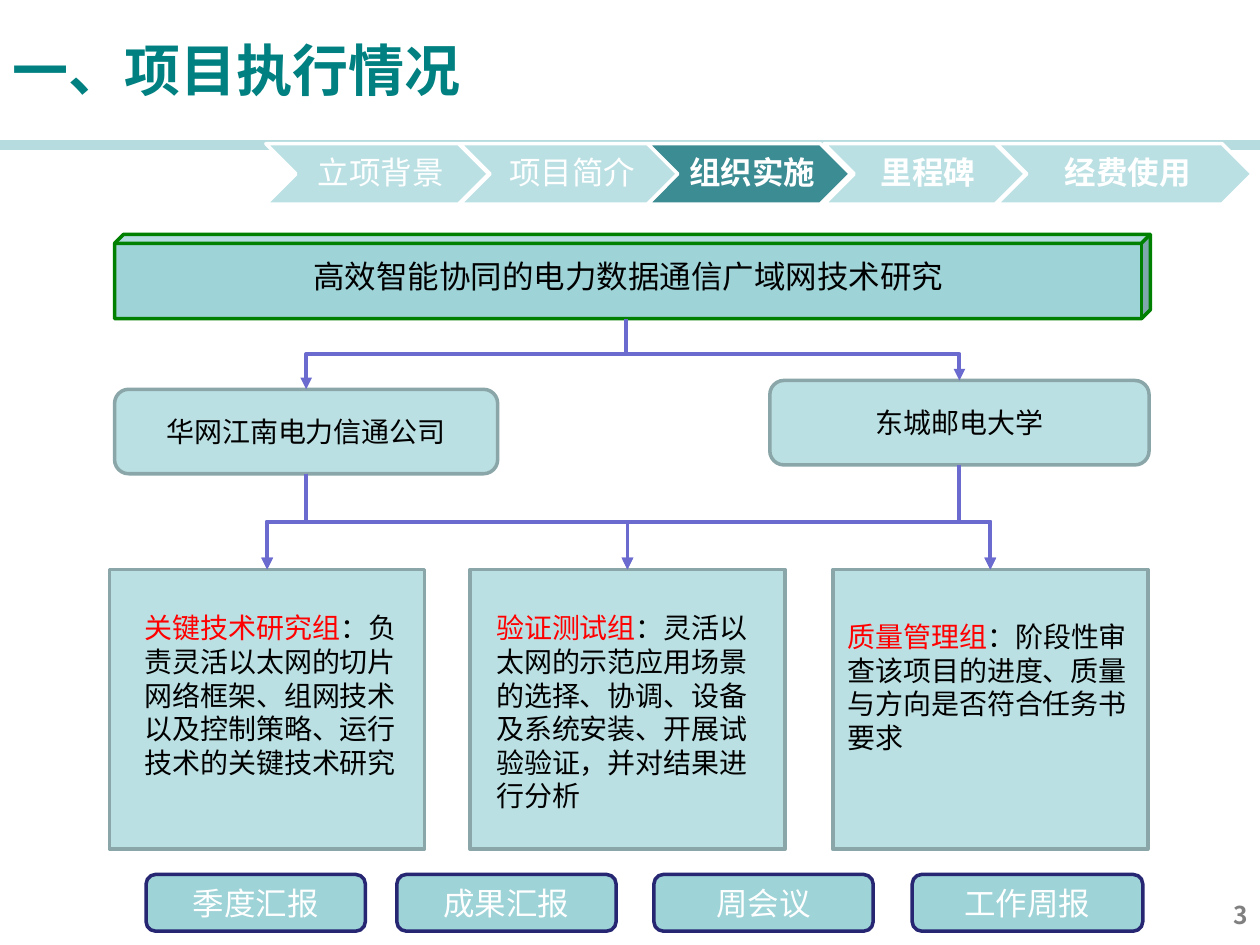
from pptx import Presentation
from pptx.util import Inches, Pt
from pptx.dml.color import RGBColor
from pptx.enum.shapes import MSO_SHAPE as Form, MSO_CONNECTOR as Link
from pptx.enum.text import PP_ALIGN as Align, MSO_ANCHOR as Anchor
from pptx.oxml.ns import qn
from lxml.etree import SubElement

WHITE = RGBColor(0xFF, 0xFF, 0xFF)
BLACK = RGBColor(0, 0, 0)
RED = RGBColor(0xFF, 0, 0)
GREY = RGBColor(0x80, 0x80, 0x80)
TEAL = RGBColor(0, 0x80, 0x80)
RULE = RGBColor(0xB6, 0xDC, 0xDF)
PALE = RGBColor(0xBB, 0xE0, 0xE3)
DEEP = RGBColor(0x3C, 0x8C, 0x93)
AQUA = RGBColor(0x9E, 0xD3, 0xD7)
EDGE = RGBColor(0x8A, 0xA6, 0xA8)
GREEN = RGBColor(0, 0x80, 0)
NAVY = RGBColor(0x26, 0x26, 0x73)
VIOLET = RGBColor(0x6B, 0x6B, 0xCF)
SANS, LATIN = "Noto Sans CJK SC", "Arial"
COLS, ROWS = 100, 75
CELL = Inches(0.1)


def grid(*cells):
    return [round(n * CELL) for n in cells]


def write(shape, parts, size, color=BLACK, face=SANS, bold=False,
          align=Align.CENTER, anchor=Anchor.MIDDLE):
    frame = shape.text_frame
    frame.word_wrap = True
    frame.vertical_anchor = anchor
    para = frame.paragraphs[0]
    para.alignment = align
    font = para.font
    font.size, font.name, font.bold = Pt(size), face, bold
    if isinstance(parts, str):
        parts = [(parts, color)]
    for text, tint in parts:
        run = para.add_run()
        run.text = text
        run.font.color.rgb = tint
    return frame


def label(slide, box, parts, size, **style):
    return write(slide.shapes.add_textbox(*grid(*box)), parts, size, **style)


def block(slide, form, box, fill, edge):
    shape = slide.shapes.add_shape(form, *grid(*box))
    shape.shadow.inherit = False
    shape.fill.solid()
    shape.fill.fore_color.rgb = fill
    shape.line.color.rgb = edge
    shape.line.width = Pt(2)
    return shape


def stroke(slide, kind, ends, color, width):
    line = slide.shapes.add_connector(kind, *grid(*ends))
    line.line.color.rgb = color
    line.line.width = Pt(width)
    SubElement(line._element.spPr, qn("a:effectLst"))
    return line


def elbow(slide, start, end, bend):
    (x1, y1), (x2, y2) = start, end
    mid_x, mid_y = (x1 + x2) / 2, (y1 + y2) / 2
    run, drop = (x2 - x1) / 2, (y2 - y1) / 2
    ends = mid_x - drop, mid_y + run, mid_x + drop, mid_y - run
    line = stroke(slide, Link.ELBOW, ends, VIOLET, 2.25)
    props = line._element.spPr
    props.find(qn("a:xfrm")).set("rot", "5400000")
    share = round((bend - y1) / (y2 - y1) * 100000)
    guides = props.find(qn("a:prstGeom")).find(qn("a:avLst"))
    SubElement(guides, qn("a:gd"), name="adj1", fmla=f"val {share}")
    SubElement(props.find(qn("a:ln")), qn("a:tailEnd"), type="triangle")


def header(slide, box):
    left, top, width, height = box
    rule = top + height + 0.5
    stroke(slide, Link.STRAIGHT, (0, rule, COLS, rule), RULE, 6)
    label(slide, box, "一、项目执行情况", 32, color=TEAL, bold=True, align=Align.LEFT)


def steps(slide, top, high):
    inset = high / 2
    items = [("立项背景", 21.1, 17.7), ("项目简介", 36.5, 17.3), ("组织实施", 51.4, 16.1),
             ("里程碑", 65.4, 16), ("经费使用", 79.1, 20.3)]
    for n, (text, left, wide) in enumerate(items):
        fill = DEEP if n == 2 else PALE
        block(slide, Form.CHEVRON, (left, top, wide, high), fill, WHITE)
        box = left + inset, top, wide - 2 * inset, high
        frame = label(slide, box, text, 18, color=WHITE, bold=n > 1)
        frame.margin_left = Inches(0.08)
        frame.margin_right = frame.margin_top = frame.margin_bottom = Inches(0.03)
        frame.paragraphs[0].line_spacing = 0.9


def banner(slide, box):
    left, top, width, height = box
    cube = block(slide, Form.CUBE, box, AQUA, GREEN)
    cube.adjustments[0] = 0.107
    label(slide, (left + 1.4, top + 1.3, width - 3.5, 4), "高效智能协同的电力数据通信广域网技术研究",
          18, face=LATIN, anchor=Anchor.TOP)


def teams(slide, top, wide, high):
    items = [
        (8.7, (10.5, 2.8, 22.9, 14.5), "关键技术研究组",
         "：负责灵活以太网的切片网络框架、组网技术以及控制策略、运行技术的关键技术研究"),
        (37.3, (38.4, 2.8, 22.9, 17.2), "验证测试组",
         "：灵活以太网的示范应用场景的选择、协调、设备及系统安装、开展试验验证，并对结果进行分析"),
        (66.1, (66.3, 3.5, 25, 11.8), "质量管理组",
         "：阶段性审查该项目的进度、质量与方向是否符合任务书要求"),
    ]
    for left, (x, y, w, h), name, task in items:
        block(slide, Form.RECTANGLE, (left, top, wide, high), PALE, EDGE)
        label(slide, (x, top + y, w, h), [(name, RED), (task, BLACK)], 16,
              face=LATIN, align=Align.LEFT, anchor=Anchor.TOP)
    return [(left + wide / 2, top) for left, *rest in items]


def chart(slide, box):
    left, top, width, height = box
    banner(slide, (left, top, width, 6.7))
    units = [("华网江南电力信通公司", (left, 30.9, 30.4, 6.7)),
             ("东城邮电大学", (61.1, 30.2, 30.1, 6.7))]
    for name, area in units:
        write(block(slide, Form.ROUNDED_RECTANGLE, area, PALE, EDGE), name, 16)
    goals = teams(slide, 45.2, 25, top + height - 45.2)
    root = 49.7, top + 6.7
    for name, (x, y, w, h) in units:
        hub = x + w / 2
        elbow(slide, root, (hub, y), 28.1)
        for goal in goals:
            elbow(slide, (hub, y + h), goal, 41.4)


def footer(slide, top, high):
    items = [("季度汇报", 11.6, 17.4), ("成果汇报", 31.5, 17.4),
             ("周会议", 51.9, 17.4), ("工作周报", 72.4, 18.3)]
    for text, left, wide in items:
        pill = block(slide, Form.ROUNDED_RECTANGLE, (left, top, wide, high), AQUA, NAVY)
        write(pill, text, 18, color=WHITE)
    label(slide, (76.7, top + 1.5, COLS - 76.7, 5.2), "3", 14, color=GREY,
          bold=True, align=Align.RIGHT, anchor=Anchor.TOP)


def main():
    deck = Presentation()
    deck.slide_width, deck.slide_height = grid(COLS, ROWS)
    slide = deck.slides.add_slide(deck.slide_layouts[6])
    header(slide, (0, 0, 82.6, 11))
    steps(slide, 11.4, 4.8)
    chart(slide, (9.1, 18.6, 82.2, 48.8))
    footer(slide, 69.4, 4.5)
    deck.save("out.pptx")


if __name__ == "__main__":
    main()
